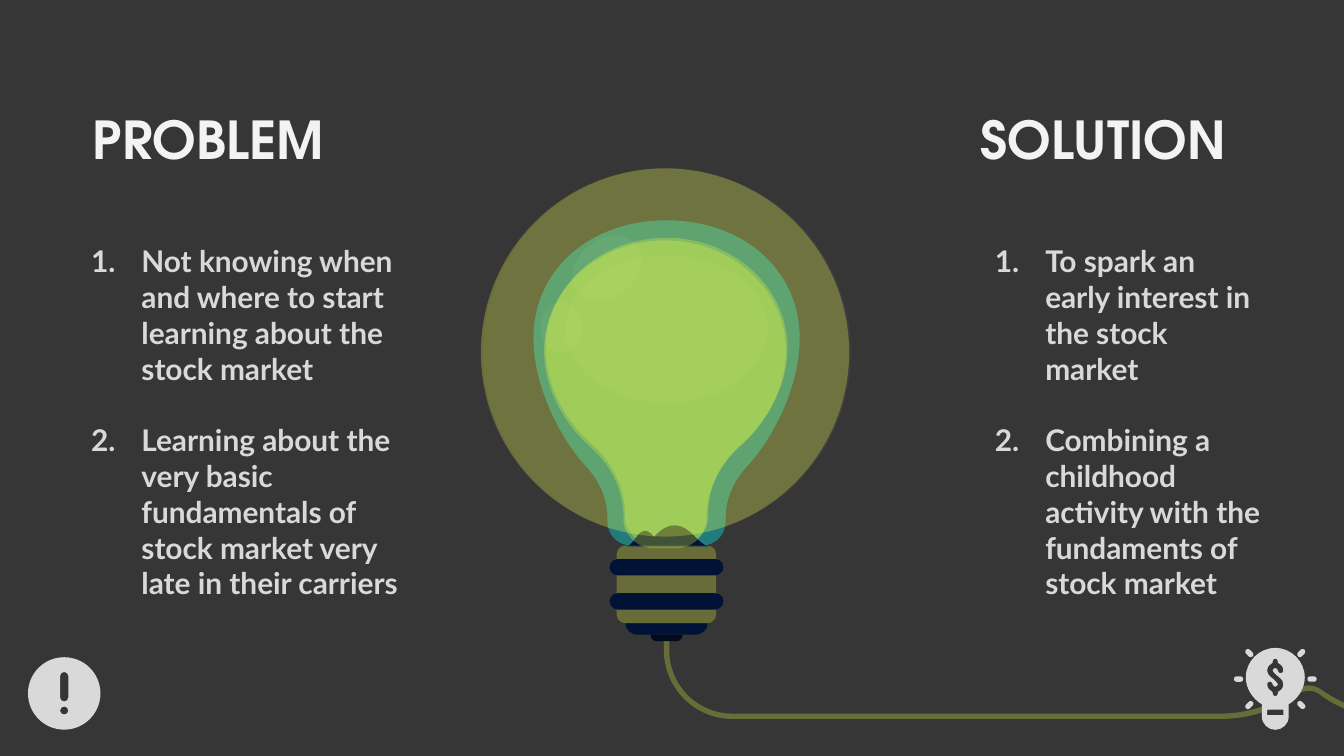
import math

import pptx
import pptx.dml.color
import pptx.enum.shapes
import pptx.enum.text
import pptx.oxml
import pptx.oxml.ns
import pptx.util

Pt = pptx.util.Pt
RGB = pptx.dml.color.RGBColor.from_string
PRESET = pptx.enum.shapes.MSO_SHAPE
COLOURS = {
    "background": "363636", "white": "FFFFFF", "yellow": "EEFF41",
    "cyan": "00FFFF", "navy": "001235", "black": "000B20",
    "heading": "F3F3F3", "light": "D9D9D9",
}

deck = pptx.Presentation()
deck.slide_width, deck.slide_height = Pt(720), Pt(405)
page = deck.slides.add_slide(deck.slide_layouts[5])
page.background.fill.solid()
page.background.fill.fore_color.rgb = RGB(COLOURS["background"])


def trace(start, *segments, mirror=False):
    """Return the points and the points per segment: 1 for a line, 3 for a Bezier curve."""
    points = [start]
    sizes = [len(segment) // 2 for segment in segments]
    for segment in segments:
        points += zip(segment[::2], segment[1::2])
    if mirror:
        on_axis = points[-1][0] == 0
        points += [(-x, y) for x, y in reversed(points)][on_axis:]
        sizes += ([] if on_axis else [1]) + sizes[::-1]
    return points, sizes


def add_part(form, place, colour, opacity=100, corners=(), rotation=0):
    """Draw a preset in a (left, top, width, height) box, or contours from an (x, y) origin."""
    if isinstance(form, list):
        placed = [[(Pt(place[0] + x), Pt(place[1] + y)) for x, y in points]
                  for points, sizes in form]
        builder = page.shapes.build_freeform(*placed[0][0])
        builder.add_line_segments(placed[0][1:], close=True)
        for contour in placed[1:]:
            builder.move_to(*contour[0])
            builder.add_line_segments(contour[1:], close=True)
        shape = builder.convert_to_shape()
        ends = shape.element.findall(".//" + pptx.oxml.ns.qn("a:lnTo"))
        for size in [size for points, sizes in form for size in sizes]:
            group, ends = ends[:size], ends[size:]
            if size == 3:
                curve = pptx.oxml.parse_xml(f'<a:cubicBezTo {pptx.oxml.ns.nsdecls("a")}/>')
                group[0].addprevious(curve)
                for end in group:
                    curve.append(end[0])
                    end.getparent().remove(end)
    else:
        shape = page.shapes.add_shape(form, *[Pt(length) for length in place])
        for index, corner in enumerate(corners):
            shape.adjustments[index] = corner
    shape.rotation = rotation
    shape.shadow.inherit = False
    shape.line.fill.background()
    shape.fill.solid()
    shape.fill.fore_color.rgb = RGB(COLOURS[colour])
    if opacity < 100:
        tint = shape.element.spPr.find(".//" + pptx.oxml.ns.qn("a:srgbClr"))
        tint.append(pptx.oxml.parse_xml(
            f'<a:alpha {pptx.oxml.ns.nsdecls("a")} val="{opacity * 1000}"/>'))


# Light bulb and its cable
axis = 357.1
cable = trace(
    (358.6, 341.3), (358.6, 348.5), (358.6, 367.2, 373.7, 382.3, 392.4, 382.3),
    (653.8, 382.3), (668.2, 382.3, 681.8, 378, 694.1, 369.4),
    (696.2, 367.9, 698.4, 367.2, 701.3, 367.2), (703.4, 367.2, 705.6, 367.9, 707.8, 369.4),
    (711.9, 372.3, 716.2, 374.7, 720, 376.4), (720, 379.7),
    (715.7, 377.6, 710.6, 375, 706.3, 371.5), (704.9, 370.8, 703.4, 370.1, 701.3, 370.1),
    (699.1, 370.1, 697.7, 370.8, 695.5, 371.5), (683.3, 380.9, 668.2, 385.2, 653.8, 385.2),
    (392.4, 385.2), (372.2, 385.2, 355.7, 368.6, 355.7, 348.5), (355.7, 341.3))
glass = trace(
    (0, 118), (39.6, 118, 71.3, 143.3, 71.3, 181.4), (71.3, 203.8, 59.8, 231.8, 42.5, 250.6),
    (36, 257.8, 31.7, 267.1, 31.7, 277.2), (31.7, 279.4),
    (31.7, 286.6, 25.9, 292.3, 18.7, 292.3), mirror=True)
glow = trace(
    (0, 127.4), (36, 127.4, 64.8, 154.1, 64.8, 186.5), (64.8, 205.9, 54.7, 225.4, 38.9, 239),
    (28.8, 248.4, 22.3, 261.4, 22.3, 275), (22.3, 276.5),
    (22.3, 285.1, 15.1, 292.3, 5.8, 292.3), mirror=True)
large_mound = trace((0, 281.5), (8.6, 281.5, 11.5, 290.9, 18.6, 293), mirror=True)
small_mound = trace((0, 284.4), (4.3, 284.4, 5.8, 291.6, 10.1, 293), mirror=True)
collar = trace((0, 334), (22, 334), (22, 337.2, 19.1, 340, 15.8, 340), mirror=True)
tip = trace((0, 340), (8.6, 340), (8.6, 342, 7.2, 343.5, 5.4, 343.5), mirror=True)

add_part(PRESET.OVAL, (258.5, 90.2, 197.3, 197.3), "white", 5)
add_part([cable], (0, 0), "yellow", 27)
add_part([glass], (axis, 0), "cyan", 35)
add_part([glow], (axis, 0), "yellow", 27)
add_part(PRESET.OVAL, (303.1, 136.8, 108, 78.8), "white", 5)
add_part(PRESET.OVAL, (304.6, 128.35, 41, 30.5), "white", 5, rotation=-38)
add_part(PRESET.OVAL, (289.6, 162, 22.6, 27), "white", 5)
add_part([large_mound], (361.4, 0), "navy")
add_part([small_mound], (345.6, 0), "navy")
add_part(PRESET.ROUNDED_RECTANGLE, (330.4, 292.3, 53.3, 41.6), "yellow", 27, [0.11])
for top in (299.5, 317.8):
    add_part(PRESET.ROUNDED_RECTANGLE, (326.6, top, 61, 8.8), "navy", corners=[0.5])
add_part([collar], (axis, 0), "navy")
add_part([tip], (axis, 0), "black")
add_part(PRESET.OVAL, (257.6, 90.2, 197.3, 197.3), "yellow", 27)
add_part([glow], (axis - 0.8, 1.4), "yellow", 27)

# Headings and numbered lists
columns = [
    (page.shapes.title, "PROBLEM", (42.6, 54, 158.4, 41), (14.7, 126.7, 211, 200.9),
     ["Not knowing when and where to start learning about the stock market",
      "Learning about the very basic fundamentals of stock market very late in their carriers"]),
    (page.shapes.add_textbox(0, 0, 0, 0), "SOLUTION", (518.2, 54, 164.9, 41),
     (498.9, 126.7, 185, 181.4),
     ["To spark an early interest in the stock market",
      "Combining a childhood activity with the fundaments of stock market"]),
]
for heading, title, heading_place, list_place, items in columns:
    listing = page.shapes.add_textbox(0, 0, 0, 0)
    for box, place, texts, face, size, colour in (
            (heading, heading_place, [title], "TeX Gyre Adventor", 28, "heading"),
            (listing, list_place, items, "Lato", 16, "light")):
        box.left, box.top, box.width, box.height = [Pt(length) for length in place]
        frame = box.text_frame
        frame.word_wrap = True
        frame.auto_size = pptx.enum.text.MSO_AUTO_SIZE.NONE
        frame.vertical_anchor = pptx.enum.text.MSO_ANCHOR.TOP
        for index, text in enumerate(texts):
            para = frame.paragraphs[0] if index == 0 else frame.add_paragraph()
            para.alignment = pptx.enum.text.PP_ALIGN.LEFT
            if box is listing:
                properties = para._p.get_or_add_pPr()
                properties.set("marL", str(Pt(54)))
                properties.set("indent", str(Pt(-27)))
                properties.append(pptx.oxml.parse_xml(
                    f'<a:buClr {pptx.oxml.ns.nsdecls("a")}>'
                    f'<a:srgbClr val="{COLOURS[colour]}"/></a:buClr>'))
                properties.append(pptx.oxml.parse_xml(
                    f'<a:buAutoNum {pptx.oxml.ns.nsdecls("a")} type="arabicPeriod"/>'))
                if index:
                    para.space_before = Pt(19)
            span = para.add_run()
            span.text = text
            span.font.name = face
            span.font.size = Pt(size)
            span.font.bold = True
            span.font.color.rgb = RGB(COLOURS[colour])

# Exclamation icon
disc = trace((0, -19.4), (10.7, -19.4, 19.4, -10.7, 19.4, 0),
             (19.4, 10.7, 10.7, 19.4, 0, 19.4), mirror=True)
stroke = trace((0, -11.5), (1.2, -11.5, 2.2, -10.5, 2.2, -9.3), (2.2, 2.2),
               (2.2, 3.4, 1.2, 4.3, 0, 4.3), mirror=True)
dot = trace((0, 7), (1.2, 7, 2.2, 8, 2.2, 9.2), (2.2, 10.4, 1.2, 11.3, 0, 11.3), mirror=True)
add_part([disc, stroke, dot], (34.4, 371.5), "light")

# Dollar bulb icon: the dollar sign is half traced, then turned by 180 degrees
icon_x, icon_y = 683.2, 362.9
bulb = trace((0, -15.8), (8.6, -15.8, 15.8, -8.6, 15.8, 0), (15.8, 5.8, 12.2, 11.5, 7.2, 14.4),
             (7.2, 20.9), (7.2, 25.2, 3.6, 28.1, 0, 28.1), mirror=True)
half_points, half_sizes = trace(
    (0, -10.1), (0.7, -10.1, 1.4, -9.4, 1.4, -8.6), (1.4, -7.9),
    (2.9, -7.2, 4.3, -5.8, 4.3, -3.6), (4.3, -2.9, 3.6, -2.2, 2.9, -2.2),
    (2.2, -2.2, 1.4, -2.9, 1.4, -3.6), (1.4, -4.3, 0.7, -5, 0, -5),
    (-0.7, -5, -1.4, -4.3, -1.4, -3.6), (-1.4, -2.9, 0, -2.2, 0.7, -1.2),
    (2.2, 0, 4.3, 1.4, 4.3, 3.6), (4.3, 5.8, 2.9, 7.2, 1.4, 7.9), (1.4, 8.6),
    (1.4, 9.4, 0.7, 10.1, 0, 10.1))
dollar = half_points + [(-x, -y) for x, y in half_points[1:]], half_sizes * 2
slot = trace((4.3, 17.3), (4.3, 20.2), mirror=True)
add_part([bulb, dollar, slot], (icon_x, icon_y), "light")
for angle in (0, 45, 135, 180, 225, 315):
    ray_x = icon_x + 19.7 * math.cos(math.radians(angle))
    ray_y = icon_y + 0.9 + 19.7 * math.sin(math.radians(angle))
    add_part(PRESET.ROUNDED_RECTANGLE, (ray_x - 2.5, ray_y - 1.45, 5, 2.9), "light",
             corners=[0.5], rotation=angle)

deck.save("out.pptx")
